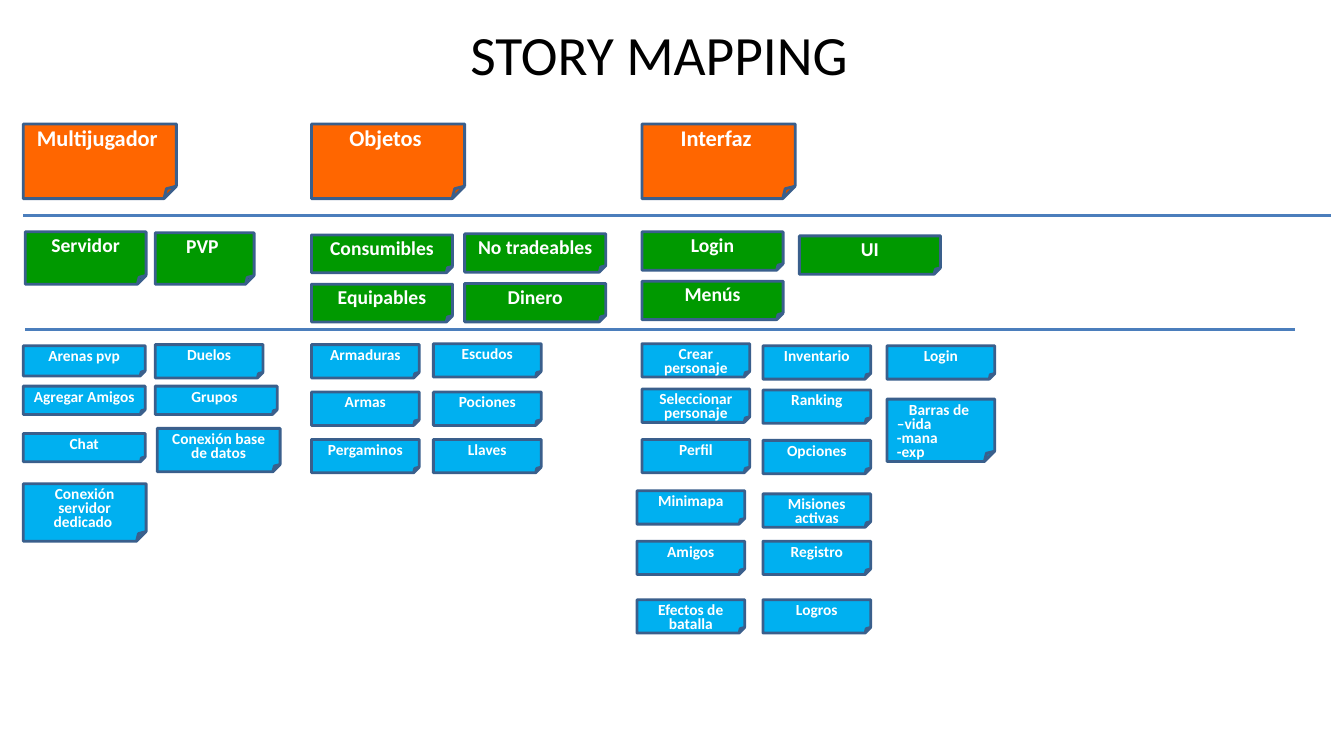
"""Build a story mapping slide with activities, features and tasks on folded notes."""
from dataclasses import dataclass

from lxml import etree
from pptx import Presentation
from pptx.dml.color import RGBColor
from pptx.enum.shapes import MSO_CONNECTOR, MSO_SHAPE
from pptx.enum.text import MSO_ANCHOR, PP_ALIGN
from pptx.oxml.ns import qn
from pptx.util import Pt

NOTE = MSO_SHAPE.FOLDED_CORNER
STRAIGHT = MSO_CONNECTOR.STRAIGHT
TOP, MIDDLE = MSO_ANCHOR.TOP, MSO_ANCHOR.MIDDLE
LEFT, CENTER = PP_ALIGN.LEFT, PP_ALIGN.CENTER


@dataclass(frozen=True)
class Level:
    """Fill, type size and line spacing of one level of the map."""
    fill: RGBColor
    size: float
    spacing: float


@dataclass(frozen=True)
class Theme:
    """Colours and type sizes of the slide."""
    font: str = "Calibri"
    title_size: float = 39.6
    title: RGBColor = RGBColor(0, 0, 0)
    note_text: RGBColor = RGBColor(255, 255, 255)
    outline: RGBColor = RGBColor.from_string("3A5F8C")
    divider: RGBColor = RGBColor.from_string("4B7EBC")
    activity: Level = Level(RGBColor.from_string("FF6600"), 16, 16)
    feature: Level = Level(RGBColor.from_string("009900"), 14, 14)
    task: Level = Level(RGBColor.from_string("00B0F0"), 11, 10)


THEME = Theme()

ACTIVITIES = [
    (16.6, 109.4, 53.3, [(88.6, "Multijugador ")]),
    (222.5, 109.4, 53.3, [(88.6, "Objetos ")]),
    (458.6, 109.4, 53.3, [(88.6, "Interfaz ")]),
]
FEATURES = [
    (18, 86.4, 37.4, [(165.6, "Servidor")]),
    (110.9, 70.6, 36.7, [(166.3, "PVP ")]),
    (222.5, 100.8, 27, [(167.8, "Consumibles"), (203, "Equipables")]),
    (331.9, 100.8, 27.4, [(167, "No tradeables"), (202.5, "Dinero")]),
    (458.6, 100.8, 27.4, [(165.6, "Login"), (200.9, "Menús")]),
    (571, 100.8, 27.4, [(168.5, "UI")]),
]
TASKS = [
    (16.6, 87.1, 21.6, [(247, "Arenas pvp")]),
    (16.6, 87.1, 20.2, [(275.8, "Agregar Amigos"), (309.6, "Chat")]),
    (16.6, 87.8, 41, [(345.6, "Conexión servidor dedicado ")]),
    (110.9, 77, 23.8, [(246.2, "Duelos")]),
    (110.9, 87.1, 20.2, [(275.8, "Grupos ")]),
    (112.3, 87.8, 31, [(306, "Conexión base de datos")]),
    (222.5, 77, 23.8, [(246.2, "Armaduras"), (280.1, "Armas"), (313.9, "Pergaminos")]),
    (309.6, 77, 23.8, [(245.5, "Escudos"), (280.1, "Pociones"), (313.9, "Llaves")]),
    (458.6, 77, 23.8, [(245.5, "Crear personaje"), (277.9, "Seleccionar personaje"),
                       (313.9, "Perfil")]),
    (455, 77, 23.8, [(350.6, "Minimapa"), (386.6, "Amigos"),
                     (428.4, "Efectos de batalla")]),
    (545, 77, 23.8, [(247, "Inventario"), (278.6, "Ranking"), (314.6, "Opciones"),
                     (352.8, "Misiones activas"), (386.6, "Registro"),
                     (428.4, "Logros")]),
    (633.6, 77, 23.8, [(247, "Login")]),
    (633.6, 77, 44.6, [(285.1, "Barras de \n–vida\n-mana\n-exp")]),
]
DIVIDERS = [(16.6, 950.4, 154.1), (18, 925.2, 235.4)]


def write_text(s, text, size, color, anchor):
    """Write text with its first line centred and return the paragraphs."""
    tf = s.text_frame
    tf.word_wrap = True
    tf.vertical_anchor = anchor
    tf.text = text
    for i, p in enumerate(tf.paragraphs):
        p.alignment = LEFT if i else CENTER
        p.font.name = THEME.font
        p.font.size = Pt(size)
        p.font.color.rgb = color
    return tf.paragraphs


def add_title(slide, text):
    """Add the slide title."""
    s = slide.shapes.add_textbox(Pt(113), Pt(15.8), Pt(715.7), Pt(44.6))
    write_text(s, text, THEME.title_size, THEME.title, MIDDLE)


def add_note(slide, level, left, top, width, height, text):
    """Add one folded note in the style of its level."""
    s = slide.shapes.add_shape(NOTE, Pt(left), Pt(top), Pt(width), Pt(height))
    s.shadow.inherit = False
    s.fill.solid()
    s.fill.fore_color.rgb = level.fill
    s.line.color.rgb = THEME.outline
    s.line.width = Pt(2)
    for p in write_text(s, text, level.size, THEME.note_text, TOP):
        p.font.bold = True
        p.line_spacing = Pt(level.spacing)


def add_stacks(slide, level, stacks):
    """Add stacks of equally sized notes."""
    for left, width, height, notes in stacks:
        for top, text in notes:
            add_note(slide, level, left, top, width, height, text)


def add_divider(slide, left, right, top):
    """Add a horizontal line between two levels."""
    s = slide.shapes.add_connector(STRAIGHT, Pt(left), Pt(top), Pt(right), Pt(top))
    s.line.color.rgb = THEME.divider
    s.line.width = Pt(2.25)
    etree.SubElement(s._element.spPr, qn("a:effectLst"))


def main():
    """Build and save the slide."""
    prs = Presentation()
    prs.slide_width, prs.slide_height = Pt(960), Pt(540)
    slide = prs.slides.add_slide(prs.slide_layouts[6])
    add_title(slide, "STORY MAPPING")
    for divider in DIVIDERS:
        add_divider(slide, *divider)
    add_stacks(slide, THEME.activity, ACTIVITIES)
    add_stacks(slide, THEME.feature, FEATURES)
    add_stacks(slide, THEME.task, TASKS)
    prs.save("out.pptx")


main()
